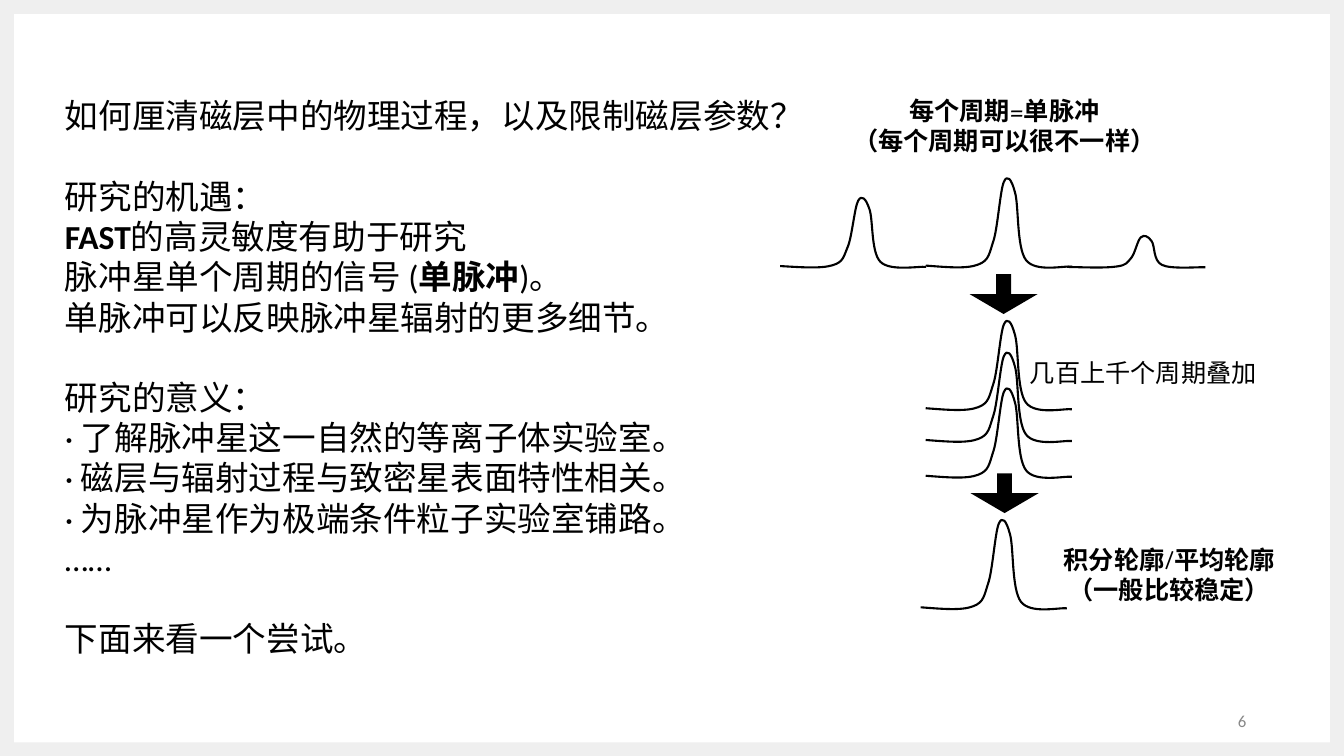
from typing import NamedTuple

from lxml import etree
from pptx import Presentation
from pptx.dml.color import RGBColor
from pptx.enum import shapes, text
from pptx.oxml.ns import qn
from pptx.util import Inches, Pt

COLORS = {"frame": "EFEFEF", "panel": "FFFFFF", "ink": "000000", "muted": "888888"}
PULSE_WIDTH, PULSE_HEIGHT = 2.9, 1.78
PULSE_START = (0, 1.74)
PULSE_CURVES = [
    ((0.41, 1.77), (0.81, 1.81), (1.04, 1.72)),
    ((1.26, 1.64), (1.26, 1.5), (1.35, 1.23)),
    ((1.43, 0.96), (1.48, 0.24), (1.55, 0.08)),
    ((1.62, -0.08), (1.7, 0.02), (1.77, 0.28)),
    ((1.85, 0.54), (1.8, 1.38), (1.99, 1.63)),
    ((2.18, 1.88), (2.75, 1.74), (2.9, 1.76)),
]


class Run(NamedTuple):
    text: str
    bold: bool = False


class Para(NamedTuple):
    runs: list[Run]
    gap: float = 0


class Label(NamedTuple):
    left: float
    top: float
    width: float
    height: float
    paras: list[Para]
    size: int
    font: str = "Calibri"
    color: str = "ink"
    align: text.PP_ALIGN = text.PP_ALIGN.LEFT
    anchor: text.MSO_ANCHOR = text.MSO_ANCHOR.TOP


class Pulse(NamedTuple):
    left: float
    top: float
    width: float = PULSE_WIDTH
    height: float = PULSE_HEIGHT


class Arrow(NamedTuple):
    left: float
    top: float


def rgb(name: str) -> RGBColor:
    return RGBColor.from_string(COLORS[name])


def lines(*items: str, bold: bool = False) -> list[Para]:
    return [Para([Run(item, bold)]) for item in items]


def add_solid(parent, kind, left: float, top: float, width: float, height: float, color: str):
    sp = parent.shapes.add_shape(kind, Inches(left), Inches(top), Inches(width), Inches(height))
    sp.shadow.inherit = False
    sp.fill.solid()
    sp.fill.fore_color.rgb = rgb(color)
    sp.line.fill.background()
    return sp


def add_label(parent, label: Label) -> None:
    sp = parent.shapes.add_textbox(
        Inches(label.left), Inches(label.top), Inches(label.width), Inches(label.height)
    )
    tf = sp.text_frame
    tf.word_wrap = True
    tf.vertical_anchor = label.anchor
    tf.margin_left = tf.margin_right = tf.margin_top = tf.margin_bottom = Inches(0.1)
    for i, para in enumerate(label.paras):
        p = tf.add_paragraph() if i else tf.paragraphs[0]
        p.alignment = label.align
        if para.gap:
            p.space_before = Pt(para.gap)
        p.font.size = Pt(label.size)
        p.font.name = label.font
        p.font.color.rgb = rgb(label.color)
        p.font.bold = all(run.bold for run in para.runs)
        for run in para.runs:
            r = p.add_run()
            r.text = run.text
            if run.bold != p.font.bold:
                r.font.bold = run.bold


def add_segment(outline, tag: str, points) -> None:
    segment = etree.SubElement(outline, qn(tag))
    for x, y in points:
        etree.SubElement(segment, qn("a:pt"), x=str(Inches(x)), y=str(Inches(y)))


def add_pulse(parent, pulse: Pulse) -> None:
    builder = parent.shapes.build_freeform(0, 0)
    builder.add_line_segments([(Inches(PULSE_WIDTH), Inches(PULSE_HEIGHT))], close=False)
    sp = builder.convert_to_shape()
    sp.left, sp.top = Inches(pulse.left), Inches(pulse.top)
    sp.width, sp.height = Inches(pulse.width), Inches(pulse.height)
    outline = next(sp.element.iter(qn("a:path")))
    for segment in list(outline):
        outline.remove(segment)
    add_segment(outline, "a:moveTo", [PULSE_START])
    for curve in PULSE_CURVES:
        add_segment(outline, "a:cubicBezTo", curve)
    sp.shadow.inherit = False
    sp.fill.background()
    sp.line.color.rgb = rgb("ink")
    sp.line.width = Pt(3)


def add_arrow(parent, arrow: Arrow) -> None:
    sp = add_solid(parent, shapes.MSO_SHAPE.DOWN_ARROW, arrow.left, arrow.top, 1.35, 0.79, "ink")
    sp.adjustments[0] = 0.218
    sp.adjustments[1] = 0.5


BODY_GAP = 57
BODY = [
    Para([Run("如何厘清磁层中的物理过程，以及限制磁层参数？")]),
    Para([Run("研究的机遇：")], BODY_GAP),
    Para([Run("FAST", True), Run("的高灵敏度有助于研究")]),
    Para([Run("脉冲星单个周期的信号 ("), Run("单脉冲", True), Run(")。")]),
    *lines("单脉冲可以反映脉冲星辐射的更多细节。"),
    Para([Run("研究的意义：")], BODY_GAP),
    *lines(
        "· 了解脉冲星这一自然的等离子体实验室。",
        "· 磁层与辐射过程与致密星表面特性相关。",
        "· 为脉冲星作为极端条件粒子实验室铺路。",
        "……",
    ),
    Para([Run("下面来看一个尝试。")], BODY_GAP),
]
CENTER = text.PP_ALIGN.CENTER
SLIDE_LABELS = [
    Label(18.83, 14, 6, 0.6, lines("6"), 24, color="muted",
          align=text.PP_ALIGN.RIGHT, anchor=text.MSO_ANCHOR.MIDDLE),
    Label(1.19, 1.79, 24.4, 11.51, BODY, 48),
]
DIAGRAM_LABELS = [
    Label(20.93, 10.69, 4.55, 1.42,
          lines("积分轮廓/平均轮廓", "（一般比较稳定）", bold=True), 36, "Vollkorn", align=CENTER),
    Label(20.34, 6.98, 4.77, 0.81, lines("几百上千个周期叠加"), 36, "Vollkorn"),
    Label(16.71, 1.79, 6.44, 1.42,
          lines("每个周期=单脉冲", "（每个周期可以很不一样）", bold=True), 36, "Vollkorn", align=CENTER),
]
STACK_LEFT = 18.37
SINGLE_PULSES = [
    Pulse(15.48, 3.92, height=1.39),
    Pulse(STACK_LEFT, 3.53),
    Pulse(21.17, 4.68, 2.75, 0.63),
    *(Pulse(STACK_LEFT, top) for top in (6.36, 6.99, 7.7)),
]
ARROWS = [Arrow(19.24, 5.44), Arrow(19.26, 9.39)]
MEAN_PULSE = Pulse(18.27, 10.31)


def main() -> None:
    prs = Presentation()
    prs.slide_width, prs.slide_height = Inches(26.67), Inches(15)
    s = prs.slides.add_slide(prs.slide_layouts[6])
    s.background.fill.solid()
    s.background.fill.fore_color.rgb = rgb("frame")
    add_solid(s, shapes.MSO_SHAPE.RECTANGLE, 0.28, 0.28, 26.11, 14.45, "panel")
    for label in SLIDE_LABELS:
        add_label(s, label)
    diagram = s.shapes.add_group_shape()
    for pulse in SINGLE_PULSES:
        add_pulse(diagram, pulse)
    for arrow in ARROWS:
        add_arrow(diagram, arrow)
    add_pulse(diagram, MEAN_PULSE)
    for label in DIAGRAM_LABELS:
        add_label(diagram, label)
    prs.save("out.pptx")


if __name__ == "__main__":
    main()
